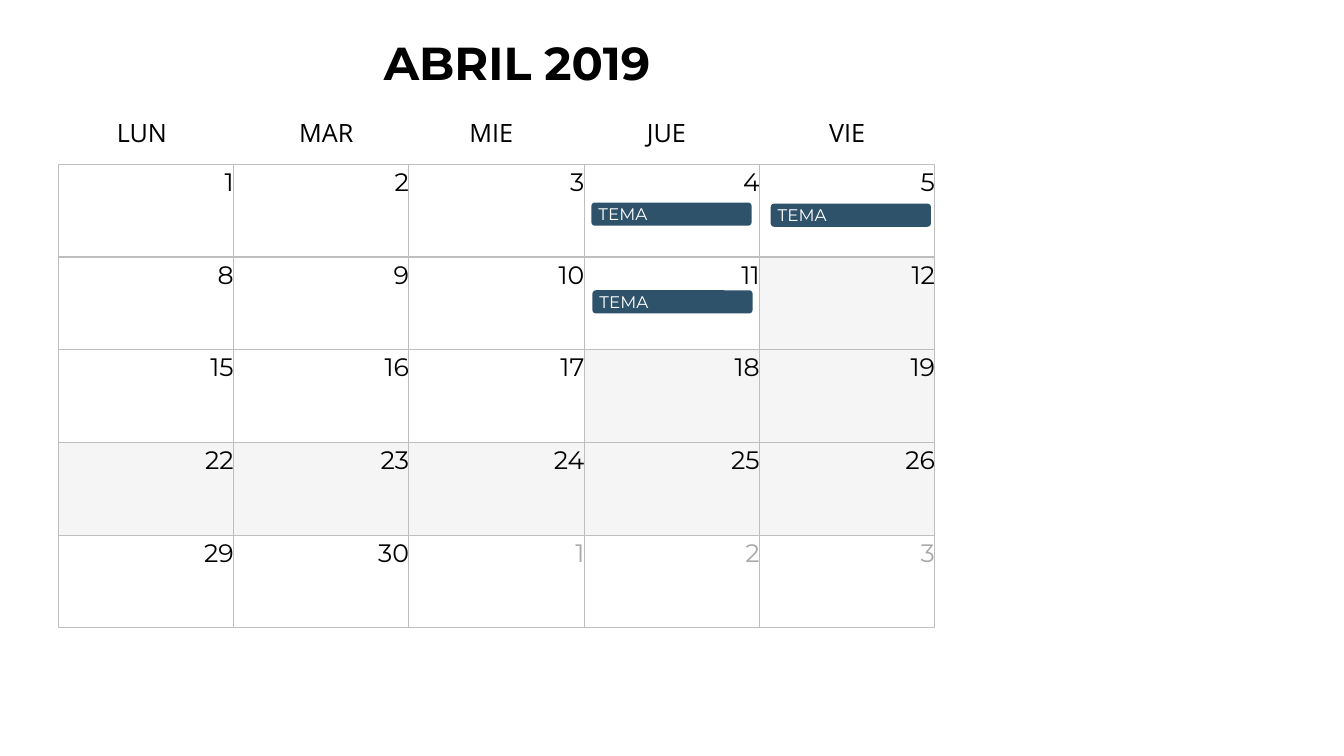
from pptx import Presentation
from pptx.dml.color import RGBColor
from pptx.enum.shapes import MSO_SHAPE
from pptx.enum.text import MSO_ANCHOR, PP_ALIGN
from pptx.util import Inches, Pt

# Content
TITLE = "ABRIL 2019"
WEEKDAYS = [("LUN", 1.16, 0.5), ("MAR", 2.97, 0.54), ("MIE", 4.66, 0.44),
            ("JUE", 6.42, 0.39), ("VIE", 8.23, 0.36)]  # name, left, width
WEEKS = [
    [1, 2, 3, 4, 5],
    [8, 9, 10, 11, 12],
    [15, 16, 17, 18, 19],
    [22, 23, 24, 25, 26],
    [29, 30, 1, 2, 3],
]
SHADED_FROM = {1: 4, 2: 3, 3: 0}  # week: first shaded column
NEXT_MONTH = (4, 2)  # week and column where the next month starts
TOPICS = [("TEMA", 5.87, 2.01), ("TEMA", 7.65, 2.02), ("TEMA", 5.88, 2.88)]

COLORS = {"text": "000000", "muted": "A8A8A8", "cell": "FFFFFF",
          "shaded": "F5F5F5", "border": "BCBEC0", "topic": "2F526B",
          "topic_text": "FFFFFF"}
GRID_LEFT, GRID_TOP = 0.58, 1.63
COL_W, ROW_H = 1.74, 0.92
DAY_W, DAY_H = 0.4, 0.3
TOPIC_W, TOPIC_H = 1.59, 0.23

prs = Presentation()
prs.slide_width, prs.slide_height = Inches(13.34), Inches(7.5)
slide = prs.slides.add_slide(prs.slide_layouts[6])


def color(name):
    return RGBColor.from_string(COLORS[name])


def write(sp, text, size=18, font="Montserrat", fill="text", bold=False,
          align=PP_ALIGN.LEFT, anchor=MSO_ANCHOR.TOP, inset=0, wrap=False):
    tf = sp.text_frame
    tf.margin_left = Inches(inset)
    tf.margin_right = tf.margin_top = tf.margin_bottom = 0
    tf.word_wrap, tf.vertical_anchor = wrap, anchor
    p = tf.paragraphs[0]
    p.alignment = align
    r = p.add_run()
    r.text = text
    r.font.size, r.font.name, r.font.bold = Pt(size), font, bold
    r.font.color.rgb = color(fill)


def add_text(left, top, width, height, text, **fmt):
    sp = slide.shapes.add_textbox(*map(Inches, (left, top, width, height)))
    write(sp, text, **fmt)


def add_box(kind, left, top, width, height, fill, line=None):
    sp = slide.shapes.add_shape(kind, *map(Inches, (left, top, width, height)))
    sp.shadow.inherit = False
    sp.fill.solid()
    sp.fill.fore_color.rgb = color(fill)
    if line:
        sp.line.color.rgb = color(line)
        sp.line.width = Pt(0.75)
    else:
        sp.line.fill.background()
    return sp


# Title and weekday names
add_text(3.81, 0.34, 2.65, 0.55, TITLE, size=33, bold=True)
for name, left, width in WEEKDAYS:
    add_text(left, 1.16, width, 0.3, name, font="Open Sans")

# Day cells with their numbers at the top right
for row, week in enumerate(WEEKS):
    for col, day in enumerate(week):
        left, top = GRID_LEFT + col * COL_W, GRID_TOP + row * ROW_H
        shaded = col >= SHADED_FROM.get(row, len(week))
        add_box(MSO_SHAPE.RECTANGLE, left, top, COL_W, ROW_H,
                "shaded" if shaded else "cell", "border")
        add_text(left + COL_W - DAY_W, top + 0.02, DAY_W, DAY_H, str(day),
                 fill="muted" if (row, col) >= NEXT_MONTH else "text",
                 align=PP_ALIGN.RIGHT, wrap=True)

# Topic bars
for text, left, top in TOPICS:
    bar = add_box(MSO_SHAPE.ROUNDED_RECTANGLE, left, top, TOPIC_W, TOPIC_H, "topic")
    bar.adjustments[0] = 0.15
    write(bar, text, size=12, fill="topic_text", anchor=MSO_ANCHOR.MIDDLE,
          inset=0.06, wrap=True)

prs.save("out.pptx")
